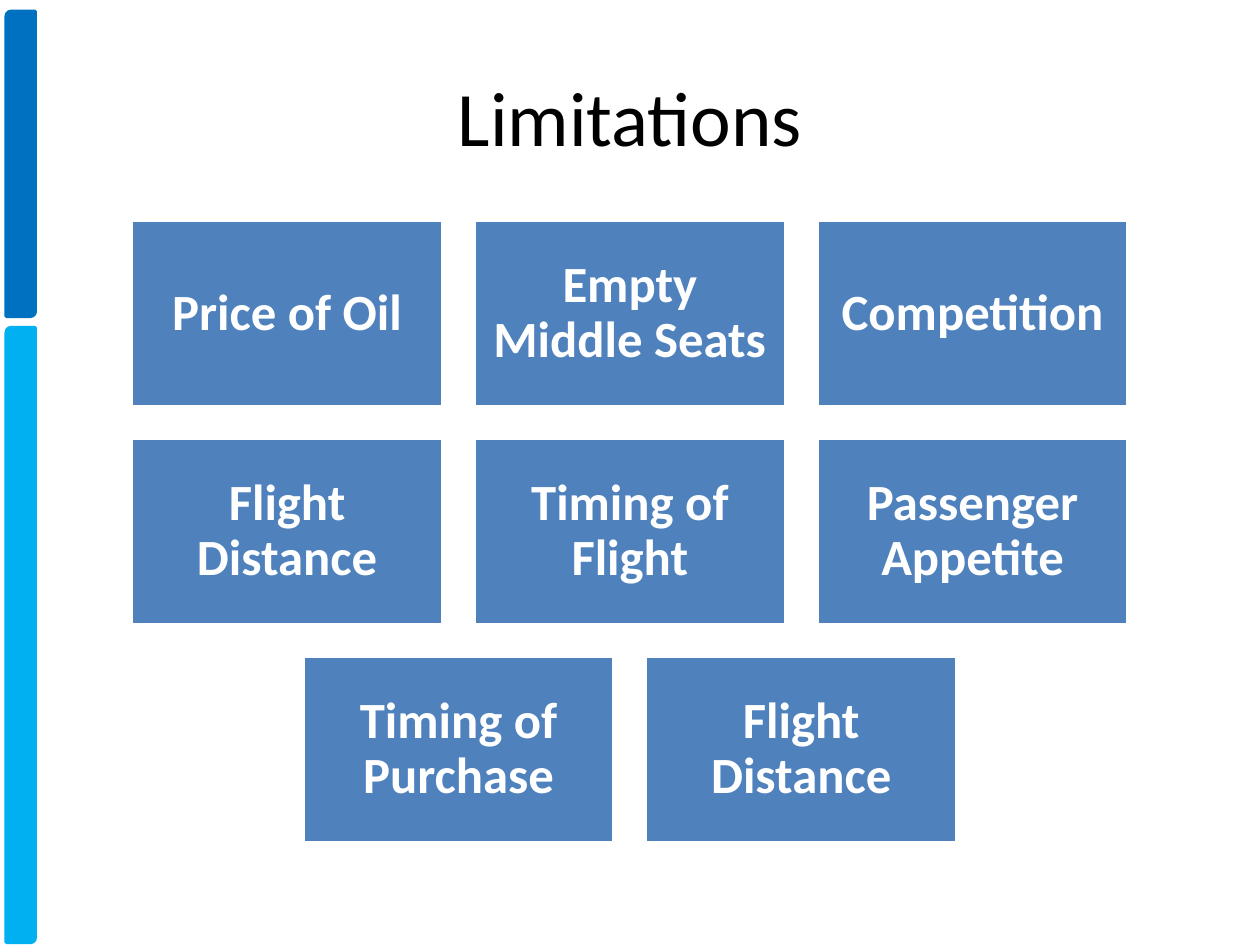
import pptx
import pptx.util
import pptx.dml.color
import pptx.enum.shapes
import pptx.enum.text

SLIDE_WIDTH, SLIDE_HEIGHT = 10, 7.5
CARD_WIDTH, CARD_HEIGHT, CARD_GAP = 2.47, 1.48, 0.25
GRID_TOP = 1.75
FONT = "Calibri"
SHAPES = pptx.enum.shapes.MSO_SHAPE

LIMITATIONS = [
    ["Price of Oil", "Empty Middle Seats", "Competition"],
    ["Flight Distance", "Timing of Flight", "Passenger Appetite"],
    ["Timing of Purchase", "Flight Distance"],
]
SIDE_BARS = [(0.09, 2.42, "0070C0"), (2.6, 4.88, "00B0F0")]


def color(value):
    return pptx.dml.color.RGBColor.from_string(value)


def inches(*lengths):
    return [pptx.util.Inches(length) for length in lengths]


def add_block(slide, kind, place, fill, outline):
    block = slide.shapes.add_shape(kind, *inches(*place))
    block.shadow.inherit = False
    block.fill.solid()
    block.fill.fore_color.rgb = color(fill)
    block.line.color.rgb = color(outline)
    block.line.width = pptx.util.Pt(2)
    return block


def write_text(frame, words, size, ink, bold=False):
    frame.text = words
    frame.word_wrap = True
    frame.vertical_anchor = pptx.enum.text.MSO_ANCHOR.MIDDLE
    line = frame.paragraphs[0]
    line.alignment = pptx.enum.text.PP_ALIGN.CENTER
    font = line.runs[0].font
    font.name = FONT
    font.size = pptx.util.Pt(size)
    font.bold = bold
    font.color.rgb = color(ink)


def add_title(slide, words):
    title = slide.shapes.title
    title.left, title.top, title.width, title.height = inches(0.5, 0.29, 9, 1.25)
    write_text(title.text_frame, words, 44, "000000")


def add_card(slide, left, top, words):
    card = add_block(slide, SHAPES.RECTANGLE, (left, top, CARD_WIDTH, CARD_HEIGHT),
                     "4F81BD", "FFFFFF")
    frame = card.text_frame
    frame.margin_left, frame.margin_top, frame.margin_right, frame.margin_bottom = inches(
        *[0.12] * 4)
    write_text(frame, words, 29, "FFFFFF", bold=True)
    frame.paragraphs[0].line_spacing = 0.9


def add_card_grid(slide, rows):
    for row, labels in enumerate(rows):
        row_width = len(labels) * (CARD_WIDTH + CARD_GAP) - CARD_GAP
        row_left = (SLIDE_WIDTH - row_width) / 2
        top = GRID_TOP + row * (CARD_HEIGHT + CARD_GAP)
        for column, words in enumerate(labels):
            add_card(slide, row_left + column * (CARD_WIDTH + CARD_GAP), top, words)


def main():
    deck = pptx.Presentation()
    deck.slide_width, deck.slide_height = inches(SLIDE_WIDTH, SLIDE_HEIGHT)
    slide = deck.slides.add_slide(deck.slide_layouts.get_by_name("Title Only"))
    for top, height, shade in SIDE_BARS:
        add_block(slide, SHAPES.ROUND_2_DIAG_RECTANGLE, (0.05, top, 0.23, height), shade, shade)
    add_title(slide, "Limitations")
    add_card_grid(slide, LIMITATIONS)
    deck.save("out.pptx")


if __name__ == "__main__":
    main()
